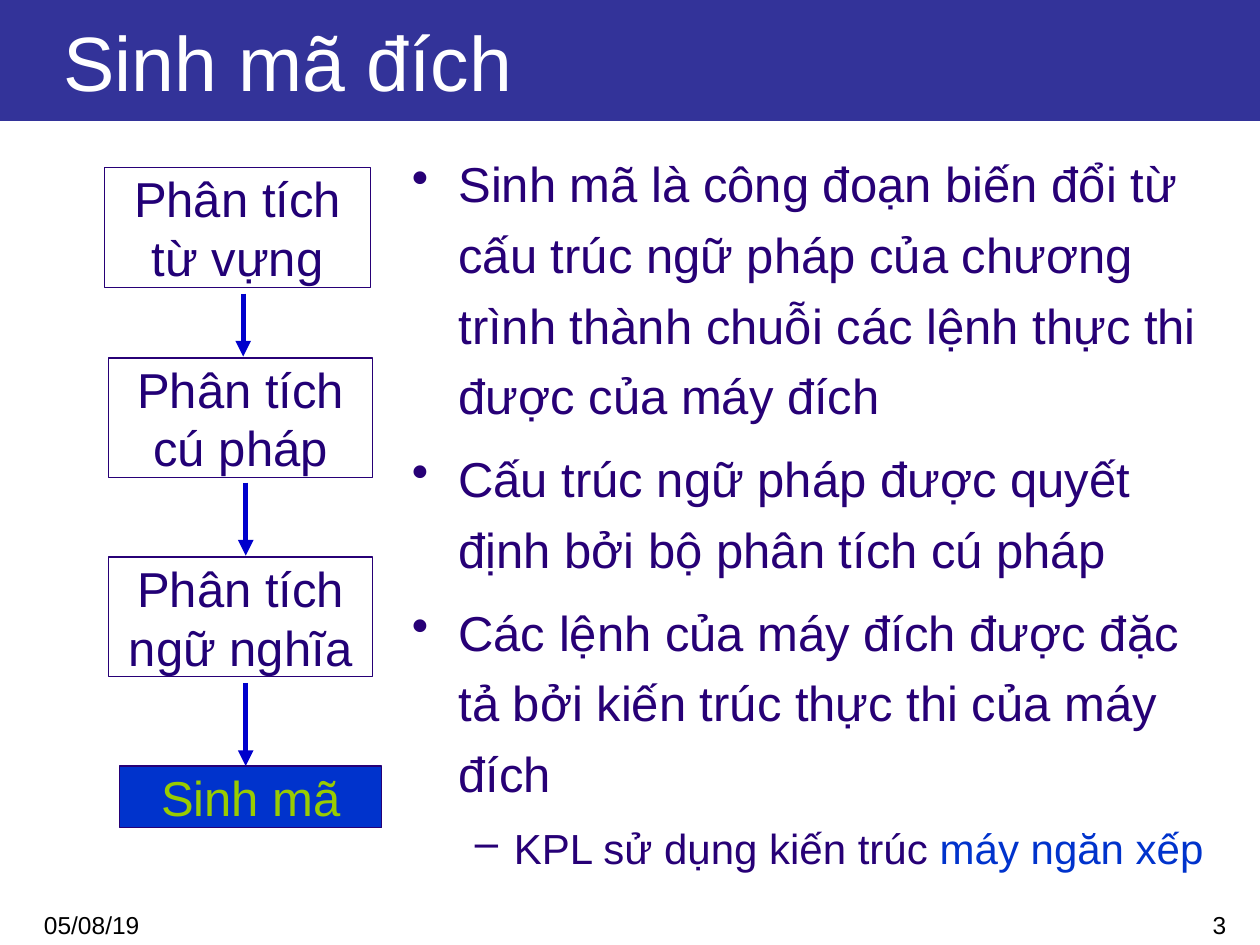
from lxml import etree
from pptx import Presentation
from pptx.dml.color import RGBColor
from pptx.enum.shapes import MSO_CONNECTOR, MSO_SHAPE
from pptx.enum.text import MSO_ANCHOR, MSO_AUTO_SIZE, PP_ALIGN
from pptx.oxml.ns import qn
from pptx.util import Inches, Pt

BLACK = RGBColor(0x00, 0x00, 0x00)
WHITE = RGBColor(0xFF, 0xFF, 0xFF)
BANNER = RGBColor(0x33, 0x33, 0x99)
INK = RGBColor(0x27, 0x00, 0x76)
STAGE_INK = RGBColor(0x22, 0x00, 0x76)
BLUE = RGBColor(0x00, 0x33, 0xCC)
ARROW = RGBColor(0x00, 0x00, 0xCC)
GREEN = RGBColor(0x99, 0xCC, 0x00)

# Text, left, top, width, height, fill, font colour
STAGES = [
    ("Phân tích từ vựng", 0.83, 1.33, 2.11, 0.95, None, STAGE_INK),
    ("Phân tích cú pháp", 0.86, 2.84, 2.1, 0.95, None, STAGE_INK),
    ("Phân tích ngữ nghĩa", 0.86, 4.42, 2.1, 0.95, None, STAGE_INK),
    ("Sinh mã", 0.95, 6.08, 2.08, 0.49, BLUE, GREEN),
]
# x, start, end
FLOWS = [(1.93, 2.33, 2.83), (1.95, 3.83, 4.41), (1.95, 5.42, 6.08)]

POINTS = [
    "Sinh mã là công đoạn biến đổi từ cấu trúc ngữ pháp của chương trình "
    "thành chuỗi các lệnh thực thi được của máy đích",
    "Cấu trúc ngữ pháp được quyết định bởi bộ phân tích cú pháp",
    "Các lệnh của máy đích được đặc tả bởi kiến trúc thực thi của máy đích",
]


def style(paragraph, size, color, align=PP_ALIGN.LEFT):
    paragraph.alignment = align
    paragraph.font.name = "Arial"
    paragraph.font.size = Pt(size)
    paragraph.font.color.rgb = color


def add_title(slide, text):
    title = slide.shapes.title
    title.left, title.top = Inches(0), Inches(0)
    title.width, title.height = Inches(10), Inches(0.96)
    title.fill.solid()
    title.fill.fore_color.rgb = BANNER
    frame = title.text_frame
    frame.text = text
    frame.auto_size = MSO_AUTO_SIZE.NONE
    frame.vertical_anchor = MSO_ANCHOR.MIDDLE
    frame.margin_left = Inches(0.5)
    style(frame.paragraphs[0], 44, WHITE)


def add_text_frame(slide, left, top, width, height):
    box = slide.shapes.add_textbox(Inches(left), Inches(top), Inches(width), Inches(height))
    box.text_frame.word_wrap = True
    return box.text_frame


def add_footer(slide, text, left, width, height, align):
    paragraph = add_text_frame(slide, left, 7.17, width, height).paragraphs[0]
    paragraph.text = text
    style(paragraph, 14, BLACK, align)


def add_stage(slide, text, left, top, width, height, fill, color):
    stage = slide.shapes.add_shape(
        MSO_SHAPE.RECTANGLE, Inches(left), Inches(top), Inches(width), Inches(height))
    stage.shadow.inherit = False
    if fill is None:
        stage.fill.background()
    else:
        stage.fill.solid()
        stage.fill.fore_color.rgb = fill
    stage.line.color.rgb = INK
    stage.line.width = Pt(0.75)
    frame = stage.text_frame
    frame.text = text
    frame.word_wrap = True
    frame.vertical_anchor = MSO_ANCHOR.TOP
    frame.margin_top = frame.margin_bottom = Inches(0.01)
    style(frame.paragraphs[0], 28, color, PP_ALIGN.CENTER)


def add_flow(slide, x, start, end):
    flow = slide.shapes.add_connector(
        MSO_CONNECTOR.STRAIGHT, Inches(x), Inches(start), Inches(x), Inches(end))
    flow.line.color.rgb = ARROW
    flow.line.width = Pt(3)
    etree.SubElement(flow.line._get_or_add_ln(), qn("a:tailEnd"), type="triangle")
    etree.SubElement(flow._element.spPr, qn("a:effectLst"))


def format_bullet(paragraph, char, margin, hanging, size, before):
    style(paragraph, size, INK)
    paragraph.line_spacing = 1.2
    paragraph.space_before = Pt(before)
    properties = paragraph._p.get_or_add_pPr()
    properties.set("marL", str(Inches(margin)))
    properties.set("indent", str(-Inches(hanging)))
    bullet = etree.Element(qn("a:buChar"), char=char)
    properties.find(qn("a:defRPr")).addprevious(bullet)


def add_points(slide):
    frame = add_text_frame(slide, 3.17, 1.08, 6.58, 6.17)
    frame.text = "\n".join(POINTS)
    for point in frame.paragraphs:
        format_bullet(point, "•", 0.37, 0.37, 28, 7)

    # Sub-point with its key term in blue
    detail = frame.add_paragraph()
    detail.level = 1
    detail.add_run().text = "KPL sử dụng kiến trúc "
    term = detail.add_run()
    term.text = "máy ngăn xếp"
    format_bullet(detail, "–", 0.81, 0.31, 24, 6)
    term.font.color.rgb = BLUE


def main():
    deck = Presentation()
    deck.slide_width, deck.slide_height = Inches(10), Inches(7.5)
    slide = deck.slides.add_slide(deck.slide_layouts[5])

    # Title, date and page number
    add_title(slide, "Sinh mã đích")
    add_footer(slide, "05/08/19", 0.25, 1.92, 0.33, PP_ALIGN.LEFT)
    add_footer(slide, "3", 7.75, 2.08, 0.24, PP_ALIGN.RIGHT)

    # Explanation
    add_points(slide)

    # Compiler stages
    for stage in STAGES:
        add_stage(slide, *stage)
    for flow in FLOWS:
        add_flow(slide, *flow)

    deck.save("out.pptx")


if __name__ == "__main__":
    main()
